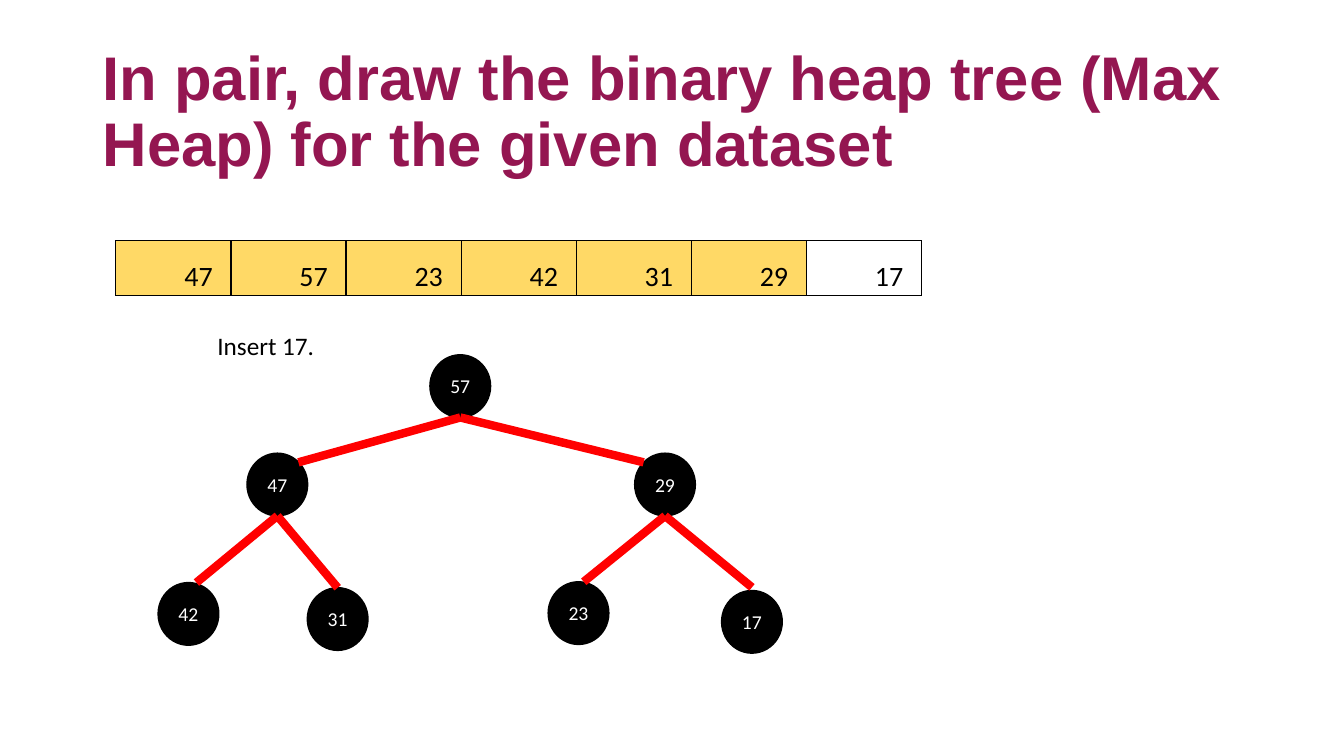
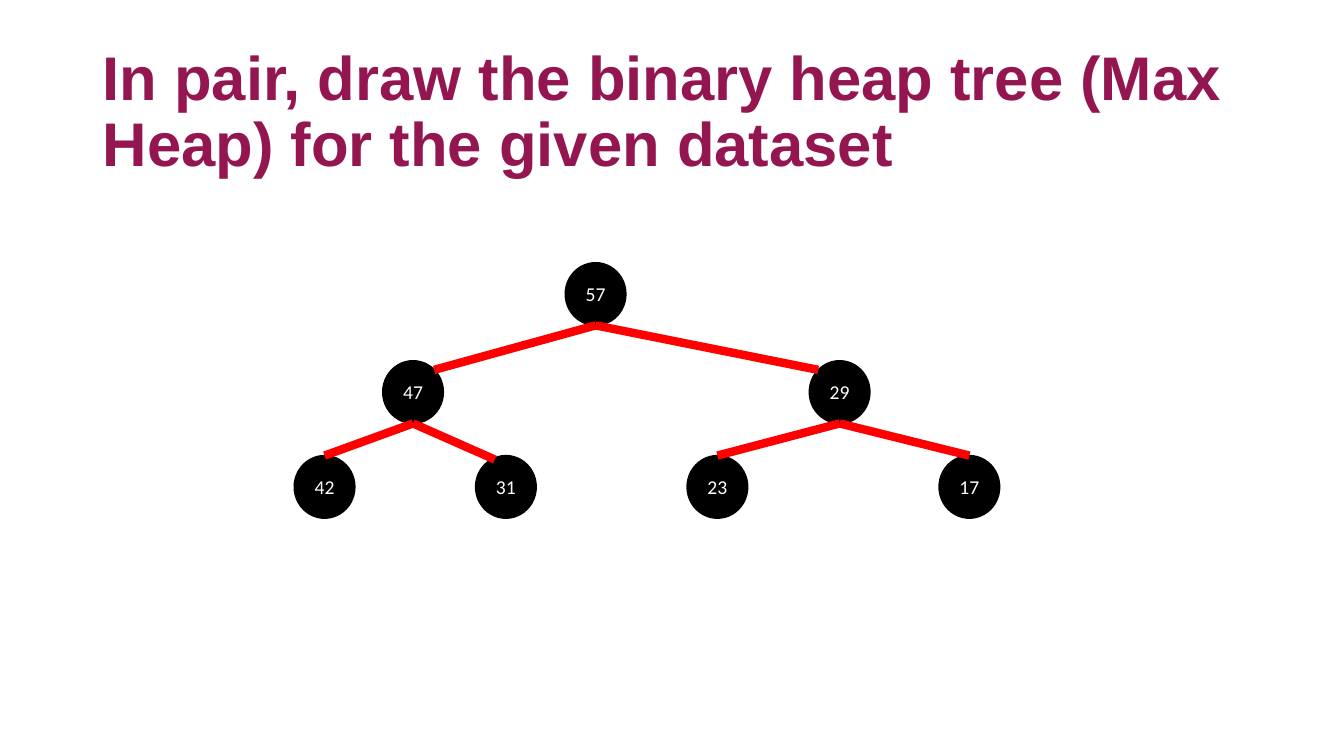
"""Builds two slides that show a max heap as a binary tree."""
from lxml import etree
from pptx import Presentation
from pptx import util as u
from pptx.dml.color import RGBColor
from pptx.enum import shapes, text
from pptx.oxml.ns import qn

PLUM = RGBColor(0x94, 0x16, 0x51)
BLACK = RGBColor(0, 0, 0)
WHITE = RGBColor(255, 255, 255)
RED = RGBColor(255, 0, 0)
GOLD = RGBColor(0xFF, 0xD9, 0x66)

TITLE = "In pair, draw the binary heap tree (Max Heap) for the given dataset"
DATA = (47, 57, 23, 42, 31, 29, 17)
NODE_W, NODE_H = 1.53, 1.58

FIRST = (
    (57, 11.6, 8.94, 0, 0),
    (47, 6.99, 11.42, 0.53, 0.23),
    (29, 16.76, 11.42, -0.54, 0.23),
    (42, 4.75, 14.68, 0.2, 0),
    (31, 8.51, 14.81, 0, 0),
    (23, 14.58, 14.66, 0.13, 0),
    (17, 18.95, 14.88, 0, -0.08),
)
SECOND = (
    (57, 15.01, 6.62, 0, 0),
    (47, 10.41, 9.09, 0.53, 0.23),
    (29, 21.16, 9.09, -0.54, 0.23),
    (42, 8.18, 11.48, 0, 0),
    (31, 12.75, 11.48, -0.28, 0.1),
    (23, 18.08, 11.48, 0, 0),
    (17, 24.43, 11.48, 0, 0),
)


class Deck:
    """Holds the style and the current slide."""

    def __init__(self):
        self.prs = Presentation()
        self.prs.slide_width = u.Cm(33.87)
        self.prs.slide_height = u.Cm(19.05)
        self.slide = None

    def page(self):
        self.slide = self.prs.slides.add_slide(self.prs.slide_layouts[6])
        self.label(TITLE, (2.34, 1.02, 30.84, 3.68), 44, PLUM, "Arial", True)

    def style(self, frame, words, size, color, face="Calibri", bold=False):
        frame.text = str(words)
        frame.vertical_anchor = text.MSO_ANCHOR.MIDDLE
        par = frame.paragraphs[0]
        font = par.runs[0].font
        font.size, font.name, font.bold = u.Pt(size), face, bold
        font.color.rgb = color
        return par

    def label(self, words, area, size, color, face="Calibri", bold=False):
        box = self.slide.shapes.add_textbox(*map(u.Cm, area))
        par = self.style(box.text_frame, words, size, color, face, bold)
        box.text_frame.word_wrap = bold
        if bold:
            par.line_spacing = 0.9

    def node(self, value, mid, top):
        oval = self.slide.shapes.add_shape(
            shapes.MSO_SHAPE.OVAL, u.Cm(mid - NODE_W / 2), u.Cm(top),
            u.Cm(NODE_W), u.Cm(NODE_H))
        oval.shadow.inherit = False
        oval.fill.solid()
        oval.fill.fore_color.rgb = BLACK
        oval.line.color.rgb = BLACK
        oval.line.width = u.Pt(1)
        par = self.style(oval.text_frame, value, 14, WHITE)
        par.alignment = text.PP_ALIGN.CENTER

    def edge(self, *ends):
        line = self.slide.shapes.add_connector(
            shapes.MSO_CONNECTOR.STRAIGHT, *map(u.Cm, ends))
        line.line.color.rgb = RED
        line.line.width = u.Pt(6)
        etree.SubElement(line._element.spPr, qn("a:effectLst"))

    def tree(self, nodes):
        for value, mid, top, _, _ in nodes:
            self.node(value, mid, top)
        for i, (_, mid, top, dx, dy) in enumerate(nodes[1:]):
            _, root, high, _, _ = nodes[i // 2]
            self.edge(root, high + NODE_H, mid + dx, top + dy)

    def border(self, cell):
        props = cell._tc.get_or_add_tcPr()
        for i, side in enumerate(("a:lnL", "a:lnR", "a:lnT", "a:lnB")):
            line = etree.Element(qn(side), w=str(u.Pt(1)))
            fill = etree.SubElement(line, qn("a:solidFill"))
            etree.SubElement(fill, qn("a:srgbClr"), val=str(BLACK))
            props.insert(i, line)

    def array(self, values, left, top, wide, high):
        grid = self.slide.shapes.add_table(
            1, len(values), u.Cm(left), u.Cm(top),
            u.Cm(wide * len(values)), u.Cm(high)).table
        grid.first_row = grid.horz_banding = False
        for i, value in enumerate(values):
            grid.columns[i].width = u.Cm(wide)
            cell = grid.cell(0, i)
            par = self.style(cell.text_frame, value, 20, BLACK)
            par.alignment = text.PP_ALIGN.CENTER
            par.line_spacing = 1.5
            par._p.get_or_add_pPr().set("marL", str(u.Cm(1.27)))
            cell.vertical_anchor = text.MSO_ANCHOR.MIDDLE
            cell.margin_left = cell.margin_right = u.Cm(0.18)
            cell.margin_top = cell.margin_bottom = 0
            if i < len(values) - 1:
                cell.fill.solid()
                cell.fill.fore_color.rgb = GOLD
            else:
                cell.fill.background()
            self.border(cell)


def main():
    deck = Deck()
    deck.page()
    deck.array(DATA, 2.92, 6.07, 2.9, 1.38)
    deck.label("Insert 17.", (5.23, 8.2, 2.97, 1.02), 18, BLACK)
    deck.tree(FIRST)
    deck.page()
    deck.tree(SECOND)
    deck.prs.save("out.pptx")


if __name__ == "__main__":
    main()
